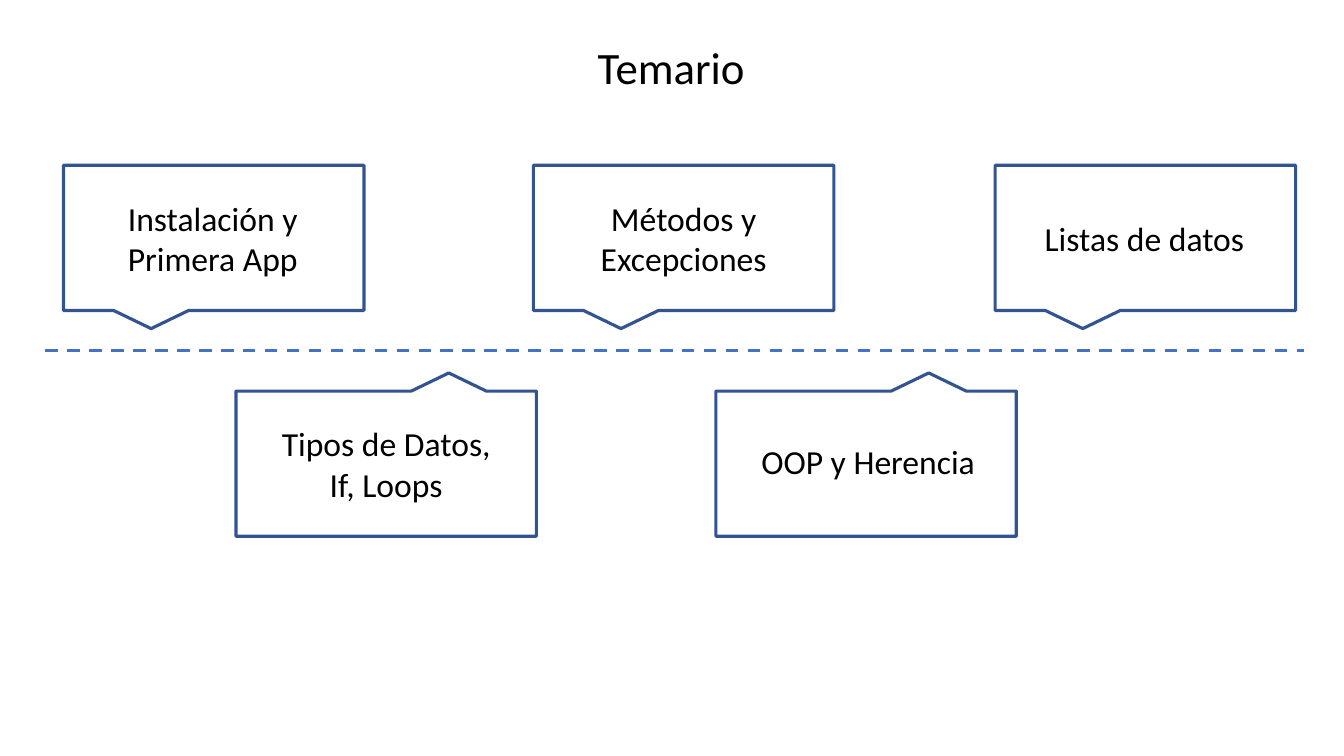
"""Build the "Temario" slide: five course topics along a dashed timeline."""
from lxml import etree
from pptx import Presentation
from pptx.dml.color import RGBColor
from pptx.enum.dml import MSO_LINE
from pptx.enum.shapes import MSO_CONNECTOR, MSO_SHAPE
from pptx.enum.text import MSO_AUTO_SIZE, PP_ALIGN
from pptx.oxml.ns import qn
from pptx.util import Pt

PX = 9144
CALLOUT = MSO_SHAPE.RECTANGULAR_CALLOUT
STRAIGHT = MSO_CONNECTOR.STRAIGHT
DASH = MSO_LINE.DASH
GROW = MSO_AUTO_SIZE.SHAPE_TO_FIT_TEXT
LEFT, CENTER = PP_ALIGN.LEFT, PP_ALIGN.CENTER
COLORS = {"text": "000000", "fill": "FFFFFF", "border": "325491", "timeline": "4472C4"}
LINE_WIDTH = Pt(2.25)
CALLOUT_W, CALLOUT_H = 298, 144
TOPIC_W = 252
ABOVE, BELOW = 164, 388

prs = Presentation()
prs.slide_width, prs.slide_height = 1333 * PX, 750 * PX
slide = prs.slides.add_slide(prs.slide_layouts[6])


def color(name):
    return RGBColor.from_string(COLORS[name])


def add_text(text, left, top, width, height, size, align, wrap):
    box = slide.shapes.add_textbox(left * PX, top * PX, width * PX, height * PX)
    frame = box.text_frame
    frame.word_wrap = wrap
    frame.auto_size = GROW
    paragraph = frame.paragraphs[0]
    paragraph.alignment = align
    run = paragraph.add_run()
    run.text = text
    run.font.name = "Calibri"
    run.font.size = Pt(size)
    run.font.color.rgb = color("text")


add_text("Temario", 583, 34, 167, 64, 32, LEFT, False)

timeline = slide.shapes.add_connector(STRAIGHT, 45 * PX, 348 * PX, 1293 * PX, 348 * PX)
timeline.line.color.rgb = color("timeline")
timeline.line.width = LINE_WIDTH
timeline.line.dash_style = DASH
etree.SubElement(timeline._element.spPr, qn("a:effectLst"))

topics = [
    ("Instalación y Primera App", 63, ABOVE, 85, 191, 91),
    ("Tipos de Datos, If, Loops", 234, BELOW, 257, 415, 91),
    ("Métodos y Excepciones", 529, ABOVE, 552, 191, 91),
    ("OOP y Herencia", 710, BELOW, 735, 433, 50),
    ("Listas de datos", 987, ABOVE, 1009, 211, 50),
]
for topic, left, top, topic_left, topic_top, topic_height in topics:
    callout = slide.shapes.add_shape(
        CALLOUT, left * PX, top * PX, CALLOUT_W * PX, CALLOUT_H * PX
    )
    callout.rotation = 180 if top == BELOW else 0
    callout.shadow.inherit = False
    callout.fill.solid()
    callout.fill.fore_color.rgb = color("fill")
    callout.line.color.rgb = color("border")
    callout.line.width = LINE_WIDTH
    add_text(topic, topic_left, topic_top, TOPIC_W, topic_height, 24, CENTER, True)

prs.save("out.pptx")
